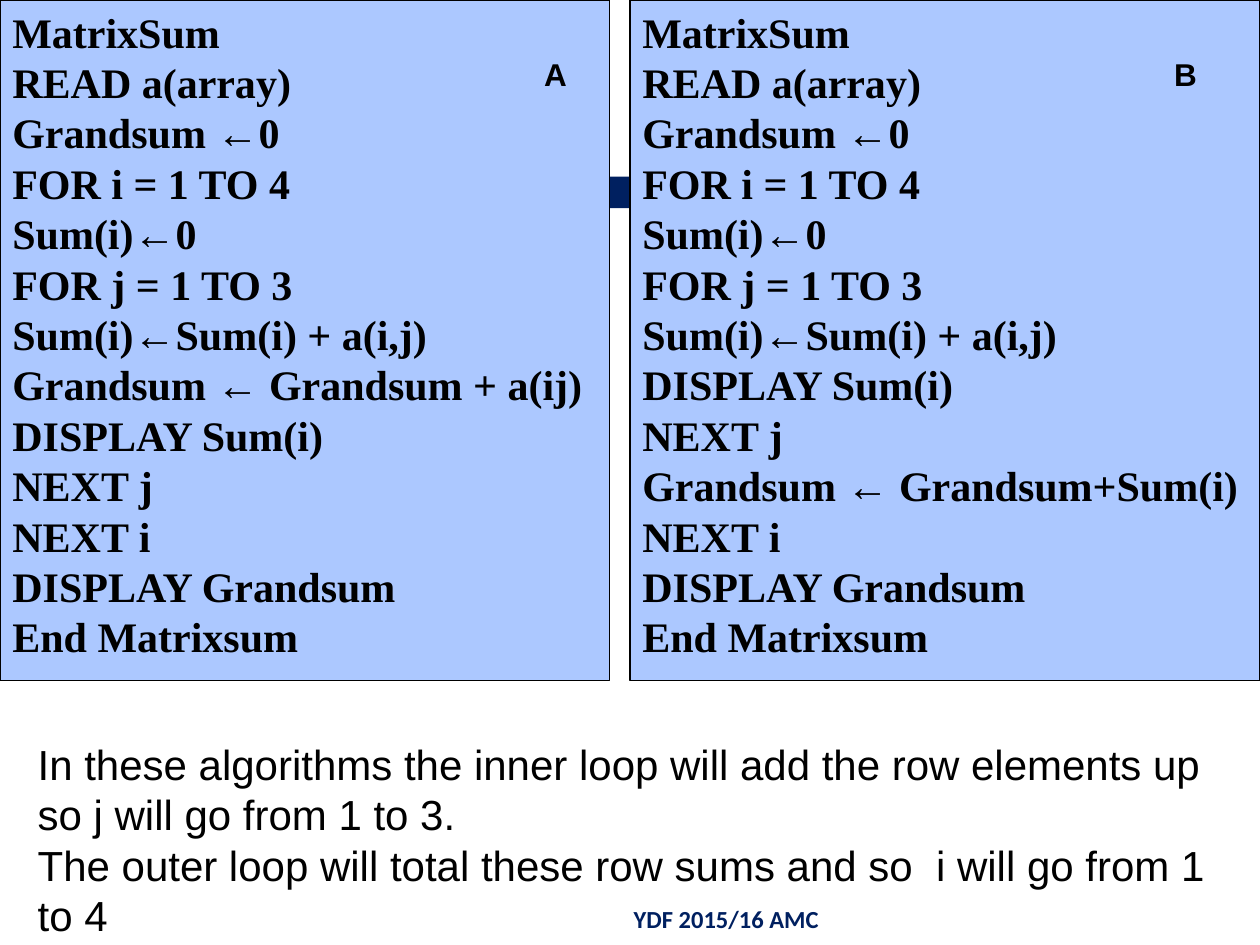
from dataclasses import dataclass

from pptx import Presentation
from pptx import util as u
from pptx.dml.color import RGBColor
from pptx.enum import shapes, text

BLACK = RGBColor(0x00, 0x00, 0x00)
WHITE = RGBColor(0xFF, 0xFF, 0xFF)
NAVY = RGBColor(0x00, 0x20, 0x60)
PALE = RGBColor(0xAC, 0xC8, 0xFF)


@dataclass
class Box:
    """Place and size in centimetres."""
    left: float
    top: float
    width: float
    height: float

    def cm(self) -> list:
        """Give the four lengths for python-pptx."""
        return [u.Cm(n) for n in (self.left, self.top, self.width, self.height)]


@dataclass
class Style:
    """Look of a block of text."""
    font: str
    size: float
    bold: bool = False
    color: RGBColor = BLACK
    align: text.PP_ALIGN = text.PP_ALIGN.LEFT
    pitch: float | None = None


@dataclass
class Panel:
    """One algorithm with its letter."""
    mark: str
    left: float
    width: float
    body: list[str]


CODE = Style("Times New Roman", 24, bold=True, pitch=28.8)
NOTE = Style("Arial", 24, pitch=28.8)
MARK = Style("Arial", 18, bold=True)
FOOT = Style("Calibri", 14, bold=True, color=NAVY, align=text.PP_ALIGN.RIGHT)

HEAD = ["MatrixSum", "READ a(array)", "Grandsum ←0", "FOR i = 1 TO 4",
        "Sum(i)←0", "FOR j = 1 TO 3", "Sum(i)←Sum(i) + a(i,j)"]
TAIL = ["NEXT i", "DISPLAY Grandsum", "End Matrixsum"]
PANELS = [
    Panel("A", 0, 12.29,
          ["Grandsum ← Grandsum + a(ij)", "DISPLAY Sum(i)", "NEXT j"]),
    Panel("B", 12.7, 12.7,
          ["DISPLAY Sum(i)", "NEXT j", "Grandsum ← Grandsum+Sum(i)"]),
]
NOTES = [
    "In these algorithms the inner loop will add the row elements up "
    "so j will go from 1 to 3.",
    "The outer loop will total these row sums and so  i will go from 1 to 4",
]


def write(frame, lines: list[str], style: Style,
          anchor=text.MSO_ANCHOR.TOP) -> None:
    """Fill a text frame, one paragraph for each line."""
    frame.word_wrap = True
    frame.vertical_anchor = anchor
    for i, line in enumerate(lines):
        para = frame.add_paragraph() if i else frame.paragraphs[0]
        para.alignment = style.align
        if style.pitch:
            para.line_spacing = u.Pt(style.pitch)
        run = para.add_run()
        run.text = line
        run.font.name = style.font
        run.font.size = u.Pt(style.size)
        run.font.bold = style.bold
        run.font.color.rgb = style.color


def block(slide, box: Box, fill: RGBColor, edge: RGBColor | None = None):
    """Draw a flat rectangle, with an outline if an edge is given."""
    rect = slide.shapes.add_shape(shapes.MSO_SHAPE.RECTANGLE, *box.cm())
    rect.shadow.inherit = False
    rect.fill.solid()
    rect.fill.fore_color.rgb = fill
    if edge is None:
        rect.line.fill.background()
    else:
        rect.line.color.rgb = edge
        rect.line.width = u.Pt(0.75)
    return rect


def label(slide, box: Box, lines: list[str], style: Style,
          anchor=text.MSO_ANCHOR.TOP) -> None:
    """Add a text box."""
    write(slide.shapes.add_textbox(*box.cm()).text_frame, lines, style, anchor)


def main() -> None:
    """Build and save the slide."""
    deck = Presentation()
    deck.slide_width, deck.slide_height = u.Cm(25.4), u.Cm(19.05)
    slide = deck.slides.add_slide(deck.slide_layouts[6])
    slide.background.fill.solid()
    slide.background.fill.fore_color.rgb = WHITE

    block(slide, Box(1.65, 3.56, 23.75, 0.64), NAVY)
    label(slide, Box(1.7, 18.01, 15.06, 1.02), ["YDF 2015/16 AMC"], FOOT,
          text.MSO_ANCHOR.MIDDLE)
    label(slide, Box(0.51, 14.76, 24.41, 4.37), NOTES, NOTE)
    for panel in PANELS:
        rect = block(slide, Box(panel.left, 0, panel.width, 13.72), PALE, BLACK)
        write(rect.text_frame, HEAD + panel.body + TAIL, CODE)
    for panel in PANELS:
        label(slide, Box(panel.left + 10.72, 0.99, 0.99, 1.02),
              [panel.mark], MARK)
    deck.save("out.pptx")


main()
